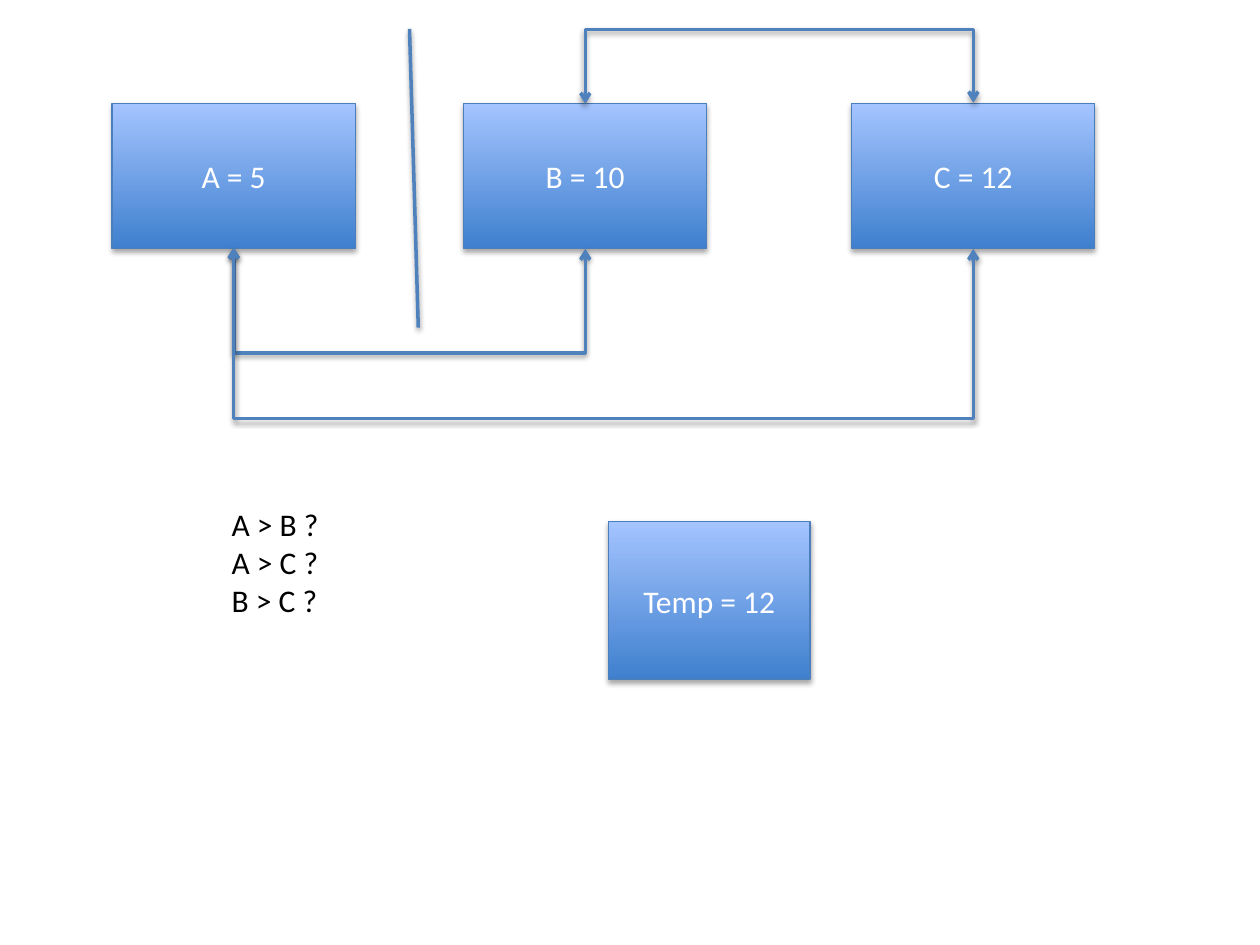
from lxml.etree import SubElement
from pptx import Presentation
from pptx.dml.color import RGBColor
from pptx.enum.shapes import MSO_CONNECTOR as CONNECTOR, MSO_SHAPE as SHAPE
from pptx.enum.text import MSO_ANCHOR as ANCHOR, MSO_AUTO_SIZE as AUTO_SIZE, PP_ALIGN as ALIGN
from pptx.oxml.ns import qn
from pptx.util import Inches, Pt

COLORS = {
    "box_bottom": "3F80CE",
    "box_top": "A4C4FF",
    "box_line": "4B7EBC",
    "connector": "4F81BD",
    "box_text": "FFFFFF",
    "question_text": "000000",
    "shadow": "000000",
}
FONT = "Calibri"
BOX_TOP, BOX_WIDTH, BOX_HEIGHT = 0.82, 1.93, 1.15
BOX_BOTTOM = BOX_TOP + BOX_HEIGHT
VARIABLES = {"A = 5": 0.89, "B = 10": 3.68, "C = 12": 6.76}
QUESTIONS = ["A > B ?", "A > C ?", "B > C ?"]
ELBOW_STEP = 0.01  # height difference between the two ends of an elbow


def color(name):
    return RGBColor.from_string(COLORS[name])


def add_shadow(shape, distance, opacity):
    properties = shape._element.spPr
    effects = SubElement(properties, qn("a:effectLst"))
    shadow = SubElement(effects, qn("a:outerShdw"), blurRad=str(Pt(3.1)),
                        dist=str(Pt(distance)), dir="5400000", rotWithShape="0")
    shade = SubElement(shadow, qn("a:srgbClr"), val=COLORS["shadow"])
    SubElement(shade, qn("a:alpha"), val=str(opacity * 1000))


def format_text(text_frame, color_name, alignment):
    for paragraph in text_frame.paragraphs:
        paragraph.alignment = alignment
        for run in paragraph.runs:
            run.font.name = FONT
            run.font.size = Pt(18)
            run.font.color.rgb = color(color_name)


def add_box(slide, text, left, top, width, height):
    box = slide.shapes.add_shape(SHAPE.RECTANGLE, Inches(left), Inches(top),
                                 Inches(width), Inches(height))
    box.fill.gradient()
    box.fill.gradient_angle = 90
    stops = box.fill.gradient_stops
    for stop, position, name in zip(stops, (0, 1), ("box_bottom", "box_top")):
        stop.position = position
        stop.color.rgb = color(name)
    box.line.color.rgb = color("box_line")
    box.line.width = Pt(0.75)
    add_shadow(box, 1.8, 35)
    box.text_frame.text = text
    box.text_frame.vertical_anchor = ANCHOR.MIDDLE
    format_text(box.text_frame, "box_text", ALIGN.CENTER)


def add_line(slide, kind, start, end, arrows=False):
    points = [Inches(value) for value in (*start, *end)]
    line = slide.shapes.add_connector(kind, *points)
    line.line.color.rgb = color("connector")
    line.line.width = Pt(2)
    if arrows:
        for tag in ("a:headEnd", "a:tailEnd"):
            SubElement(line.line._get_or_add_ln(), qn(tag), type="arrow")
    add_shadow(line, 1.6, 38)
    return line


def add_elbow(slide, start_x, end_x, y, depth, upward=False):
    """Join two boxes by a U-shaped arrow; the elbow is turned a quarter."""
    middle, half_span, half_step = (start_x + end_x) / 2, (end_x - start_x) / 2, ELBOW_STEP / 2
    elbow = add_line(slide, CONNECTOR.ELBOW, (middle - half_step, y - half_span),
                     (middle + half_step, y + half_span), arrows=True)
    transform = elbow._element.spPr.find(qn("a:xfrm"))
    transform.set("rot", "5400000" if upward else "16200000")
    transform.set("flipH", "1")
    if upward:
        transform.set("flipV", "1")
    geometry = elbow._element.spPr.find(qn("a:prstGeom"))
    adjustments = geometry.get_or_add_avLst()
    SubElement(adjustments, qn("a:gd"), name="adj1",
               fmla=f"val {round(depth / ELBOW_STEP * 100000)}")


def add_questions(slide):
    box = slide.shapes.add_textbox(Inches(1.74), Inches(3.96), Inches(1.01), Inches(1.01))
    box.text_frame.text = "\n".join(QUESTIONS)
    box.text_frame.word_wrap = False
    box.text_frame.auto_size = AUTO_SIZE.SHAPE_TO_FIT_TEXT
    format_text(box.text_frame, "question_text", ALIGN.LEFT)


def main():
    presentation = Presentation()
    presentation.slide_width, presentation.slide_height = Inches(10), Inches(7.5)
    slide = presentation.slides.add_slide(presentation.slide_layouts[6])

    # Variables and the temporary value
    for text, left in VARIABLES.items():
        add_box(slide, text, left, BOX_TOP, BOX_WIDTH, BOX_HEIGHT)
    add_box(slide, "Temp = 12", 4.83, 4.14, 1.6, 1.25)

    # Comparisons between the variables
    center_a, center_b, center_c = (left + BOX_WIDTH / 2 for left in VARIABLES.values())
    add_elbow(slide, center_a, center_b, BOX_BOTTOM, 0.85)
    add_elbow(slide, center_a, center_c, BOX_BOTTOM, 1.38)
    add_elbow(slide, center_b, center_c, BOX_TOP, 0.6, upward=True)
    add_questions(slide)

    # Divider between the sorted and unsorted part
    add_line(slide, CONNECTOR.STRAIGHT, (3.25, 0.23), (3.32, 2.6))

    presentation.save("out.pptx")


if __name__ == "__main__":
    main()
